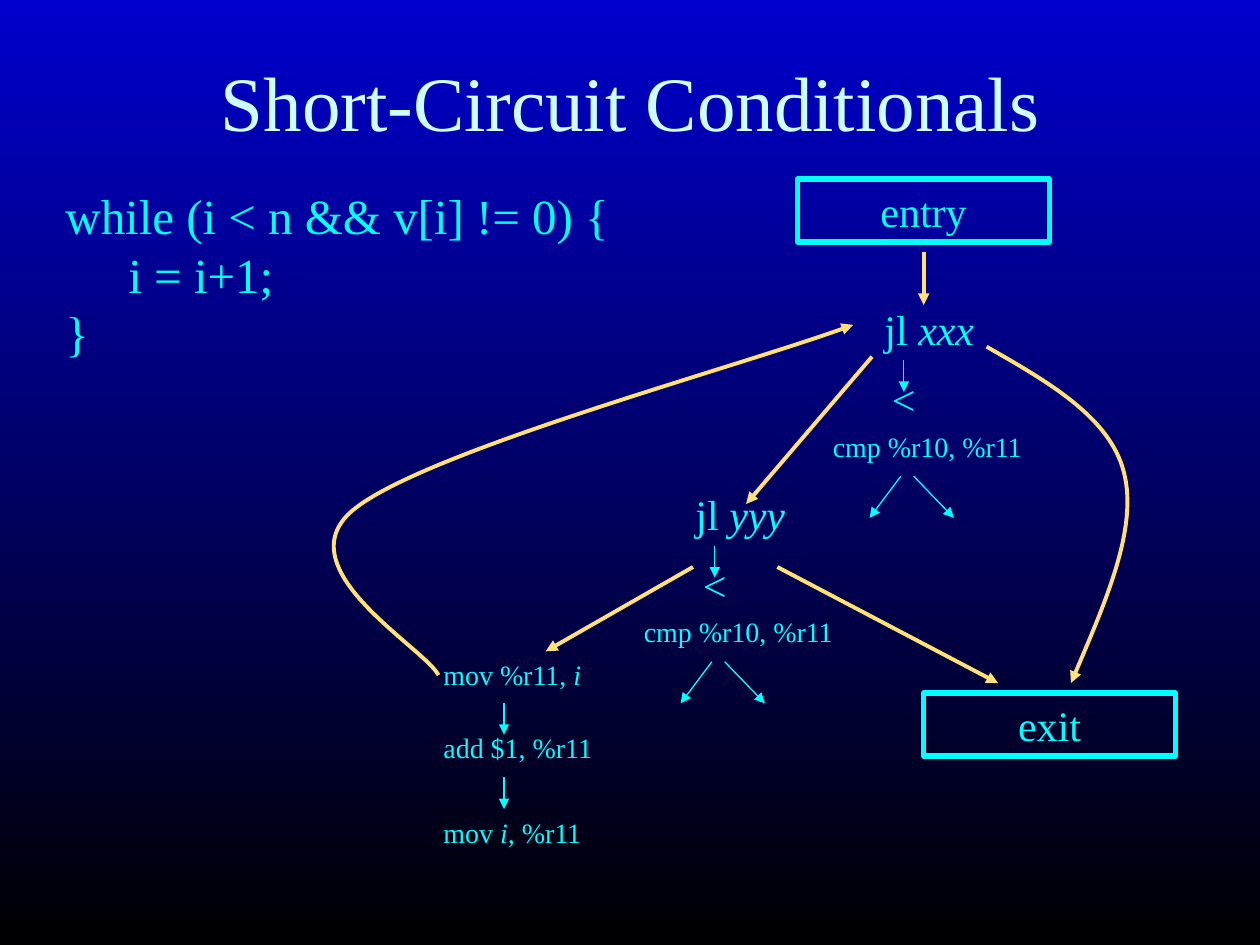
from lxml import etree
from pptx import Presentation
from pptx.dml.color import RGBColor
from pptx.enum.shapes import MSO_CONNECTOR, MSO_SHAPE
from pptx.enum.text import MSO_ANCHOR, PP_ALIGN
from pptx.oxml.ns import qn
from pptx.util import Cm, Pt

STRAIGHT = MSO_CONNECTOR.STRAIGHT
RECTANGLE = MSO_SHAPE.RECTANGLE
MIDDLE = MSO_ANCHOR.MIDDLE
CENTER = PP_ALIGN.CENTER
FONT = "Times New Roman"
CYAN, PALE, YELLOW = "00FFFF", "CCFFFF", "FFE175"


def rgb(value):
    return RGBColor.from_string(value)


def style_run(r, size, color=CYAN):
    r.font.name = FONT
    r.font.size = Pt(size)
    r.font.color.rgb = rgb(color)


def paint_background(s, top, bottom):
    fill = s.background.fill
    fill.gradient()
    fill.gradient_angle = 270
    for stop, color in zip(fill.gradient_stops, (top, bottom)):
        stop.color.rgb = rgb(color)


def set_title(s, text):
    sp = s.shapes.title
    sp.left, sp.top, sp.width, sp.height = Cm(1.07), Cm(0.43), Cm(23.29), Cm(3.18)
    tf = sp.text_frame
    tf.text = text
    tf.vertical_anchor = MIDDLE
    p = tf.paragraphs[0]
    p.alignment = CENTER
    style_run(p.runs[0], 44, PALE)


def add_text(s, x, y, w, h, lines, size):
    """Each line is a list of pieces, alternately upright and italic."""
    tf = s.shapes.add_textbox(Cm(x), Cm(y), Cm(w), Cm(h)).text_frame
    tf.word_wrap = False
    for n, pieces in enumerate(lines):
        p = tf.add_paragraph() if n else tf.paragraphs[0]
        for k, piece in enumerate(pieces):
            r = p.add_run()
            r.text = piece
            style_run(r, size)
            r.font.italic = k % 2 == 1


def add_box(s, x, y, text):
    sp = s.shapes.add_shape(RECTANGLE, Cm(x), Cm(y), Cm(5.08), Cm(1.27))
    sp.shadow.inherit = False
    sp.fill.background()
    sp.line.color.rgb = rgb(CYAN)
    sp.line.width = Pt(3)
    tf = sp.text_frame
    tf.text = text
    tf.word_wrap = False
    tf.vertical_anchor = MIDDLE
    p = tf.paragraphs[0]
    p.alignment = CENTER
    style_run(p.runs[0], 24)


def style_arrow(sp, color, width):
    sp.line.color.rgb = rgb(color)
    sp.line.width = Pt(width)
    etree.SubElement(sp.line._get_or_add_ln(), qn("a:tailEnd"), type="triangle")


def add_arrow(s, x1, y1, x2, y2, color=CYAN, width=0.75):
    sp = s.shapes.add_connector(STRAIGHT, Cm(x1), Cm(y1), Cm(x2), Cm(y2))
    style_arrow(sp, color, width)
    etree.SubElement(sp._element.spPr, qn("a:effectLst"))


def add_curve(s, start, points):
    """Draw Bezier arcs; every three points are two controls and an end."""
    builder = s.shapes.build_freeform(Cm(start[0]), Cm(start[1]))
    builder.add_line_segments([(Cm(x), Cm(y)) for x, y in points], close=False)
    sp = builder.convert_to_shape()
    sp.shadow.inherit = False
    sp.fill.background()
    style_arrow(sp, YELLOW, 2.25)
    segments = list(sp._element.iter(qn("a:lnTo")))
    outline = segments[0].getparent()
    for n, segment in enumerate(segments):
        if n % 3 == 0:
            arc = etree.SubElement(outline, qn("a:cubicBezTo"))
        arc.append(segment[0])
        outline.remove(segment)


def add_condition(s, x, y, label):
    """Jump, comparison and operands, with the top left of the jump at x, y."""
    add_text(s, x, y, 2.31, 1.27, [["jl ", label]], 24)
    add_arrow(s, x + 0.64, y + 1.27, x + 0.64, y + 1.91)
    add_text(s, x + 0.15, y + 1.42, 0.99, 1.27, [["<"]], 24)
    add_text(s, x - 1.04, y + 2.54, 4.34, 0.94, [["cmp %r10, %r11"]], 16)
    for start, end in ((0.58, -0.05), (0.84, 1.65)):
        add_arrow(s, x + start, y + 3.61, x + end, y + 4.45)


def add_loop_body(s):
    steps = (
        (13.13, 3.3, ["mov %r11, ", "i"]),
        (14.61, 3.53, ["add $1, %r11"]),
        (16.31, 3.45, ["mov ", "i,", " %r11"]),
    )
    for y, w, pieces in steps:
        add_text(s, 8.69, y, w, 0.94, [pieces], 16)
    for y in (14.17, 15.67):
        add_arrow(s, 10.16, y, 10.16, y + 0.64)


def add_control_flow(s):
    for ends in (
        (18.62, 5.08, 18.62, 6.15),
        (17.58, 7.19, 15.04, 10.16),
        (13.97, 11.43, 11, 13.13),
        (15.67, 11.43, 20.12, 13.77),
    ):
        add_arrow(s, *ends, YELLOW, 2.25)
    add_curve(s, (19.89, 6.99), [(21.13, 7.7), (22.38, 8.41), (22.66, 9.53),
                                 (22.94, 10.64), (22.25, 12.22), (21.59, 13.77)])
    add_curve(s, (8.84, 13.61), [(8.56, 13.06), (5.72, 11.46), (7.11, 10.29),
                                 (8.51, 9.12), (15.09, 7.34), (17.2, 6.55)])


def main():
    prs = Presentation()
    prs.slide_width, prs.slide_height = Cm(25.4), Cm(19.05)
    s = prs.slides.add_slide(prs.slide_layouts[5])
    paint_background(s, "0000CC", "000000")
    set_title(s, "Short-Circuit Conditionals")
    code = [["while (i < n && v[i] != 0) {"], ["\ti = i+1;"], ["}"]]
    add_text(s, 1.07, 3.61, 11.71, 3.81, code, 28)
    add_box(s, 16.08, 3.61, "entry")
    add_box(s, 18.62, 13.97, "exit")
    add_control_flow(s)
    add_condition(s, 17.58, 5.99, "xxx")
    add_condition(s, 13.77, 9.73, "yyy")
    add_loop_body(s)
    prs.save("out.pptx")


if __name__ == "__main__":
    main()
